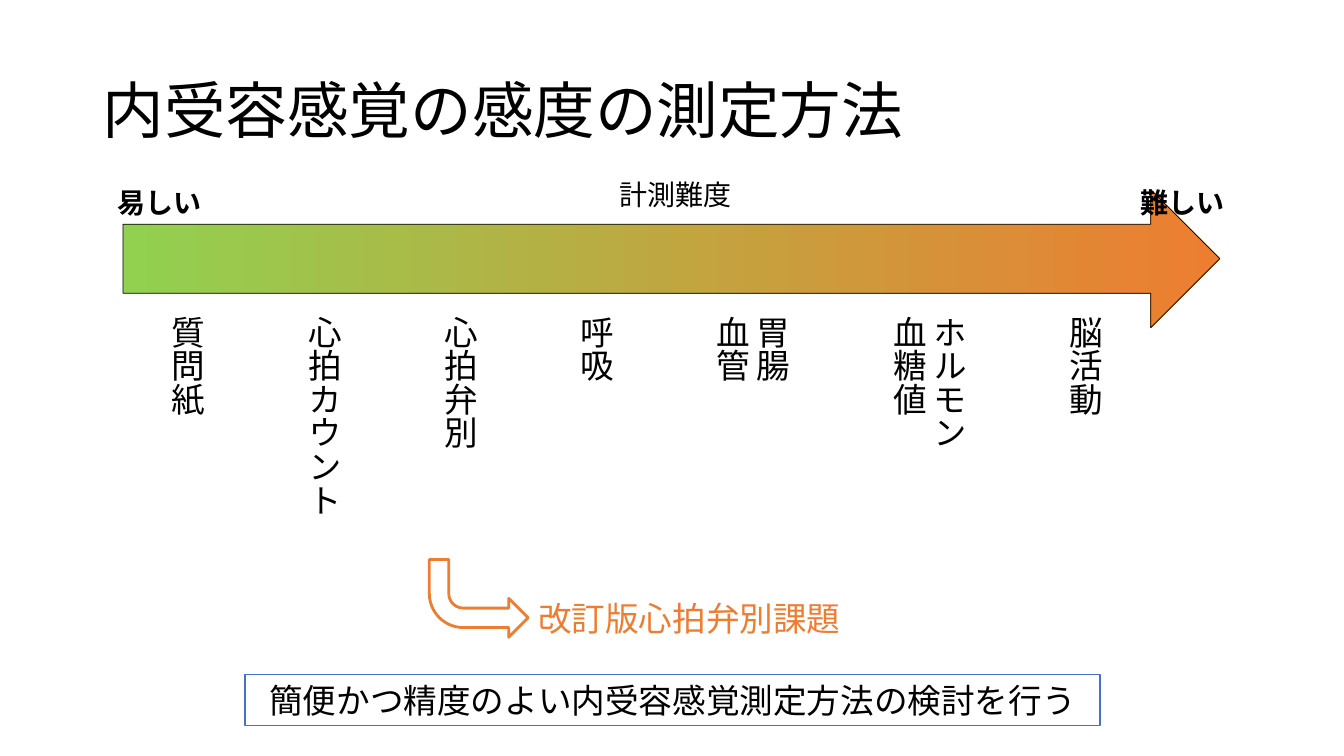
from lxml.etree import SubElement
from pptx import Presentation
from pptx.dml.color import RGBColor
from pptx.enum.lang import MSO_LANGUAGE_ID as Language
from pptx.enum.shapes import MSO_SHAPE as Shape
from pptx.enum.text import MSO_ANCHOR as Anchor, MSO_AUTO_SIZE as AutoSize, PP_ALIGN as Align
from pptx.oxml.ns import qn
from pptx.util import Cm, Pt

FONT = "Noto Sans CJK JP"
COLORS = {"text": "000000", "easy": "92D050", "hard": "ED7D31",
          "frame": "4472C4", "paper": "FFFFFF"}
METHODS = [["質問紙"], ["心拍カウント"], ["心拍弁別"], ["呼吸"],
           ["胃腸", "血管"], ["ホルモン", "血糖値"], ["脳活動"]]


def color(name):
    return RGBColor.from_string(COLORS[name])


def write(box, *lines, size=24, ink="text", bold=False, align=Align.LEFT,
          anchor=Anchor.TOP, wrap=False, grow=True, vertical=False, spacing=None):
    """Fill a shape with one paragraph per line of text."""
    frame = box.text_frame
    frame.word_wrap = wrap
    frame.auto_size = AutoSize.SHAPE_TO_FIT_TEXT if grow else AutoSize.NONE
    frame.vertical_anchor = anchor
    if vertical:
        frame._txBody.bodyPr.set("vert", "eaVert")
    for index, line in enumerate(lines):
        para = frame.add_paragraph() if index else frame.paragraphs[0]
        para.alignment = align
        para.line_spacing = spacing
        span = para.add_run()
        span.text = line
        font = span.font
        font.size, font.bold, font.name = Pt(size), bold, FONT
        font.color.rgb = color(ink)
        font.language_id = Language.JAPANESE
        SubElement(span._r.get_or_add_rPr(), qn("a:ea"), typeface=FONT)


def add_label(page, left, top, width, height, *lines, **style):
    box = page.shapes.add_textbox(Cm(left), Cm(top), Cm(width), Cm(height))
    write(box, *lines, **style)


def add_outline(page, kind, left, top, width, height, ink, weight):
    shape = page.shapes.add_shape(kind, Cm(left), Cm(top), Cm(width), Cm(height))
    shape.shadow.inherit = False
    shape.fill.background()
    shape.line.color.rgb = color(ink)
    shape.line.width = Pt(weight)
    return shape


def add_title(page, left, top, width, height):
    title = page.shapes.title
    title.left, title.top, title.width, title.height = map(Cm, (left, top, width, height))
    write(title, "内受容感覚の感度の測定方法", size=44, anchor=Anchor.MIDDLE,
          wrap=True, grow=False, spacing=0.9)


def add_scale(page, left, top, width, height):
    # Arrow running from easy to hard
    arrow = add_outline(page, Shape.RIGHT_ARROW, left, top, width, height, "text", 0.5)
    arrow.fill.gradient()
    arrow.fill.gradient_angle = 0
    for stop, name, place in zip(arrow.fill.gradient_stops, ("easy", "hard"), (0, 1)):
        stop.color.rgb = color(name)
        stop.position = place
    # Captions above the arrow
    add_label(page, left + 12.27, top - 0.43, 3.35, 1.11, "計測難度", size=20)
    for offset, caption in ((-0.38, "易しい"), (width - 2.24, "難しい")):
        add_label(page, left + offset, top - 0.23, 2.64, 1.11, caption, size=20, bold=True)


def add_methods(page, left, top, gap):
    """Vertical labels, set side by side with equal gaps."""
    for lines in METHODS:
        width = 1.55 + 1.02 * (len(lines) - 1)
        height = 0.26 + 0.85 * max(map(len, lines))
        add_label(page, left, top, width, height, *lines, vertical=True)
        left += width + gap


def add_revised_task(page, left, top):
    arrow = add_outline(page, Shape.BENT_ARROW, left, top, 2.49, 1.96, "hard", 2)
    arrow._element.spPr.xfrm.set("flipV", "1")
    add_label(page, left + 2.49, top + 0.83, 8.2, 1.28, "改訂版心拍弁別課題", ink="hard")


def add_conclusion(page, left, top, width, height):
    box = add_outline(page, Shape.RECTANGLE, left, top, width, height, "frame", 1)
    box.fill.solid()
    box.fill.fore_color.rgb = color("paper")
    write(box, "簡便かつ精度のよい内受容感覚測定方法の検討を行う",
          align=Align.CENTER, wrap=True)


def main():
    deck = Presentation()
    deck.slide_width, deck.slide_height = Cm(33.87), Cm(19.05)
    page = deck.slides.add_slide(deck.slide_layouts[5])
    add_title(page, 2.33, 1.01, 29.21, 3.68)
    add_scale(page, 3.1, 4.78, 27.64, 3.48)
    add_methods(page, 3.81, 7.7, 1.88)
    add_conclusion(page, 6.18, 17.0, 21.54, 1.28)
    add_revised_task(page, 10.82, 14.1)
    deck.save("out.pptx")


if __name__ == "__main__":
    main()
